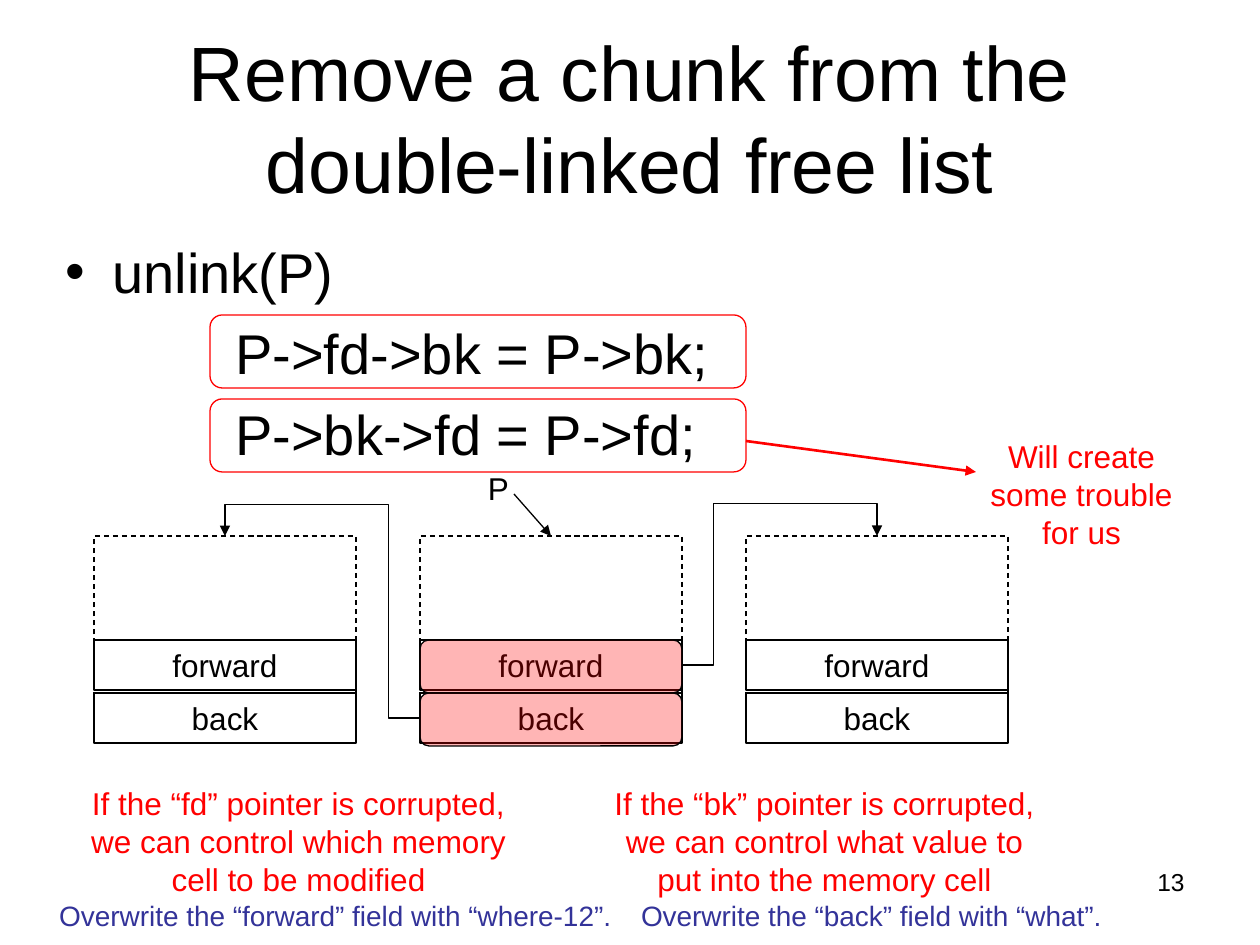
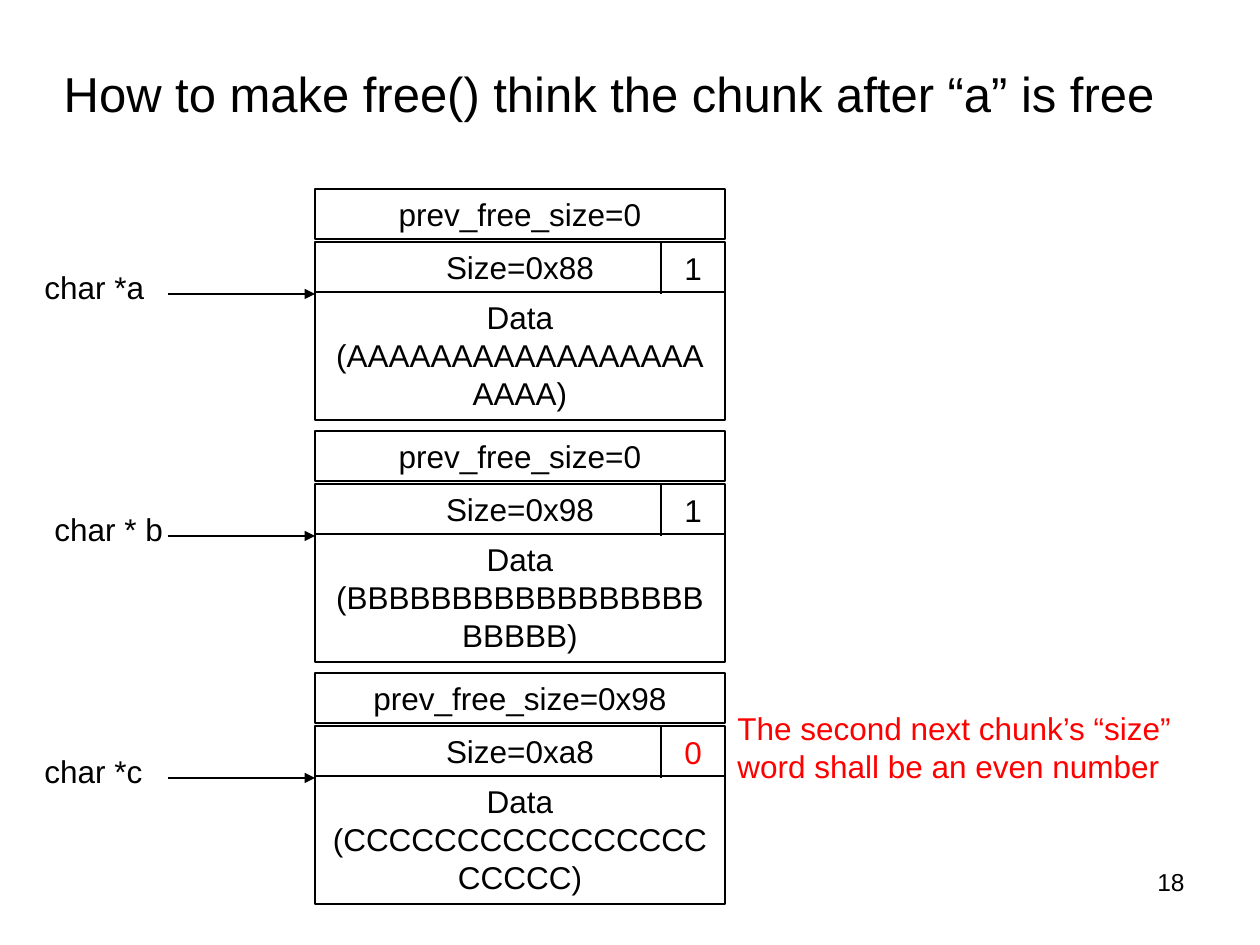
from dataclasses import dataclass
from typing import Optional

from lxml.etree import SubElement
from pptx import Presentation
from pptx.dml.color import RGBColor
from pptx.enum.dml import MSO_LINE_DASH_STYLE as Dash
from pptx.enum.shapes import MSO_CONNECTOR as Link, MSO_SHAPE as Preset
from pptx.enum.text import MSO_ANCHOR as Anchor, PP_ALIGN as Align
from pptx.oxml.ns import qn
from pptx.util import Emu, Pt

EMU_PER_PX = 914400 / 126
FONT = "Arial"
BLACK, RED, INDIGO = "000000", "FF0000", "333399"
OVERLAY_ALPHA = 29000


@dataclass(frozen=True)
class Box:
    left: int
    top: int
    width: int
    height: int


@dataclass(frozen=True)
class Note:
    text: str
    box: Box
    color: str = BLACK
    size: int = 18
    align: Align = Align.CENTER


@dataclass(frozen=True)
class Chunk:
    pointer: str
    pointer_left: int
    prev_size: str
    size: str
    flag: str
    flag_color: str
    data: str


SLIDE_NUMBER = Box(903, 861, 294, 65)

NODE_LEFT, NODE_TOP, NODE_PITCH, NODE_WIDTH = 94, 536, 326, 262
FORWARD_TOP, BACK_TOP, FIELD_HEIGHT = 640, 693, 50

CODE = ["P->fd->bk = P->bk;", "P->bk->fd = P->fd;"]

UNLINK_NOTES = [
    Note("P", Box(472, 463, 53, 50)),
    Note("If the “fd” pointer is corrupted, we can control which memory "
         "cell to be modified", Box(73, 778, 451, 126), RED),
    Note("If the “bk” pointer is corrupted, we can control what value to "
         "put into the memory cell", Box(588, 778, 473, 126), RED),
    Note("Will create some trouble for us", Box(966, 431, 231, 126), RED),
    Note("Overwrite the “back” field with “what”.",
         Box(567, 892, 609, 47), INDIGO, 16),
    Note("Overwrite the “forward” field with “where-12”.",
         Box(-11, 892, 693, 47), INDIGO, 16),
]

CHUNK_LEFT, CHUNK_TOP, CHUNK_PITCH, CHUNK_WIDTH = 315, 189, 242, 410
FLAG_LEFT = 661
CHUNKS = [
    Chunk("char *a", 32, "0", "0x88", "1", BLACK, "A" * 21),
    Chunk("char * b", 42, "0", "0x98", "1", BLACK, "B" * 22),
    Chunk("char *c", 32, "0x98", "0xa8", "0", RED, "C" * 21),
]


def px(length: int) -> Emu:
    return Emu(round(length * EMU_PER_PX))


def rgb(color: str) -> RGBColor:
    return RGBColor.from_string(color)


def place(box: Box) -> tuple:
    return px(box.left), px(box.top), px(box.width), px(box.height)


def format_text(frame, size: int, color: str, align: Align) -> None:
    frame.word_wrap = True
    for paragraph in frame.paragraphs:
        paragraph.alignment = align
        for run in paragraph.runs:
            run.font.name = FONT
            run.font.size = Pt(size)
            run.font.color.rgb = rgb(color)


def add_titled_slide(deck, title: str, box: Box, size: int, number: int):
    slide = deck.slides.add_slide(deck.slide_layouts[5])
    heading = slide.shapes.title
    heading.left, heading.top, heading.width, heading.height = place(box)
    heading.text_frame.text = title
    heading.text_frame.vertical_anchor = Anchor.MIDDLE
    format_text(heading.text_frame, size, BLACK, Align.CENTER)
    add_note(slide, Note(str(number), SLIDE_NUMBER, size=14, align=Align.RIGHT))
    return slide


def add_note(slide, note: Note) -> None:
    frame = slide.shapes.add_textbox(*place(note.box)).text_frame
    frame.text = note.text
    format_text(frame, note.size, note.color, note.align)


def add_cell(slide, box: Box, text: str = "", preset: Preset = Preset.RECTANGLE,
             line: str = BLACK, dash: Optional[Dash] = None):
    cell = slide.shapes.add_shape(preset, *place(box))
    cell.shadow.inherit = False
    cell.fill.background()
    cell.line.color.rgb = rgb(line)
    cell.line.width = Pt(0.75)
    if dash is not None:
        cell.line.dash_style = dash
    if text:
        cell.text_frame.text = text
        cell.text_frame.vertical_anchor = Anchor.TOP
        format_text(cell.text_frame, 18, BLACK, Align.CENTER)
    return cell


def add_overlay(slide, box: Box) -> None:
    overlay = add_cell(slide, box, preset=Preset.ROUNDED_RECTANGLE)
    overlay.fill.solid()
    overlay.fill.fore_color.rgb = rgb(RED)
    tint = overlay.fill._xPr.find(qn("a:solidFill"))[0]
    SubElement(tint, qn("a:alpha"), val=str(OVERLAY_ALPHA))


def add_link(slide, start: tuple[int, int], end: tuple[int, int],
             color: str = BLACK, width: float = 0.75, arrow: bool = True,
             kind: Link = Link.STRAIGHT):
    link = slide.shapes.add_connector(kind, *map(px, start + end))
    link.line.color.rgb = rgb(color)
    link.line.width = Pt(width)
    if arrow:
        SubElement(link.line._get_or_add_ln(), qn("a:tailEnd"), type="triangle")
    SubElement(link._element.spPr, qn("a:effectLst"))
    return link


def add_detour(slide, source, side: int, start: tuple[int, int], target,
               end: tuple[int, int], bends: tuple[int, int]) -> None:
    detour = add_link(slide, start, end, kind=Link.ELBOW)
    detour.begin_connect(source, side)
    detour.end_connect(target, 0)
    geometry = detour._element.spPr.find(qn("a:prstGeom"))
    geometry.set("prst", "bentConnector4")
    guides = geometry.find(qn("a:avLst"))
    if guides is None:
        guides = SubElement(geometry, qn("a:avLst"))
    for index, bend in enumerate(bends, 1):
        SubElement(guides, qn("a:gd"), name=f"adj{index}", fmla=f"val {bend}")


def add_unlink_code(slide) -> None:
    frame = slide.shapes.add_textbox(*place(Box(53, 231, 1134, 624))).text_frame
    frame.text = "\n".join(["unlink(P)"] + CODE)
    call, *statements = frame.paragraphs
    properties = call._p.get_or_add_pPr()
    properties.set("marL", str(px(47)))
    properties.set("indent", str(px(-47)))
    SubElement(properties, qn("a:buFont"), typeface=FONT)
    SubElement(properties, qn("a:buChar"), char="•")
    for statement in statements:
        statement._p.get_or_add_pPr().set("marL", str(px(170)))
        statement.space_before = Pt(8)
    format_text(frame, 32, BLACK, Align.LEFT)


def add_node(slide, left: int) -> tuple:
    body = add_cell(slide, Box(left, NODE_TOP, NODE_WIDTH, BACK_TOP - NODE_TOP),
                    dash=Dash.DASH)
    back, forward = (
        add_cell(slide, Box(left, top, NODE_WIDTH, FIELD_HEIGHT), text)
        for top, text in ((BACK_TOP, "back"), (FORWARD_TOP, "forward")))
    return body, forward, back


def build_unlink_slide(deck) -> None:
    slide = add_titled_slide(
        deck, "Remove a chunk from the double-linked free list",
        Box(63, 38, 1134, 158), 44, 13)
    add_unlink_code(slide)
    lefts = [NODE_LEFT + i * NODE_PITCH for i in range(3)]
    previous, removed, following = [add_node(slide, left) for left in lefts]
    tops = [(left + NODE_WIDTH // 2, NODE_TOP) for left in lefts]
    body, forward, back = removed

    pointer = add_link(slide, (514, 494), tops[1])
    pointer.end_connect(body, 0)
    add_detour(slide, back, 1, (lefts[1], 718), previous[0], tops[0],
               (16200, 117100))
    add_detour(slide, forward, 3, (lefts[1] + NODE_WIDTH, 665), following[0],
               tops[2], (16200, 125000))
    for top in (FORWARD_TOP, BACK_TOP):
        add_overlay(slide, Box(lefts[1], top, NODE_WIDTH, 53))
    for top in (315, 399):
        add_cell(slide, Box(210, top, 536, 73), line=RED,
                 preset=Preset.ROUNDED_RECTANGLE)
    add_link(slide, (746, 441), (976, 472), RED, 1.5)
    for note in UNLINK_NOTES:
        add_note(slide, note)


def add_chunk(slide, chunk: Chunk, top: int) -> None:
    rows = [
        (0, 50, f"prev_free_size={chunk.prev_size}"),
        (53, 50, f"Size={chunk.size}"),
        (103, 128, f"Data ({chunk.data})"),
    ]
    for offset, height, text in rows:
        add_cell(slide, Box(CHUNK_LEFT, top + offset, CHUNK_WIDTH, height), text)
    add_link(slide, (FLAG_LEFT, top + 53), (FLAG_LEFT, top + 105), arrow=False)
    add_note(slide, Note(chunk.flag, Box(672, top + 54, 63, 50),
                         chunk.flag_color, align=Align.LEFT))
    add_note(slide, Note(chunk.pointer,
                         Box(chunk.pointer_left, top + 73, 136, 50),
                         align=Align.LEFT))
    add_link(slide, (168, top + 105), (CHUNK_LEFT, top + 105))


def build_free_slide(deck) -> None:
    slide = add_titled_slide(
        deck, "How to make free() think the chunk after “a” is free",
        Box(42, 38, 1134, 110), 28, 18)
    for index, chunk in enumerate(CHUNKS):
        add_chunk(slide, chunk, CHUNK_TOP + index * CHUNK_PITCH)
    add_note(slide, Note(
        "The second next chunk’s “size” word shall be an even number",
        Box(725, 703, 494, 88), RED, align=Align.LEFT))


def main() -> None:
    deck = Presentation()
    deck.slide_width, deck.slide_height = px(1260), px(945)
    build_unlink_slide(deck)
    build_free_slide(deck)
    deck.save("out.pptx")


if __name__ == "__main__":
    main()
